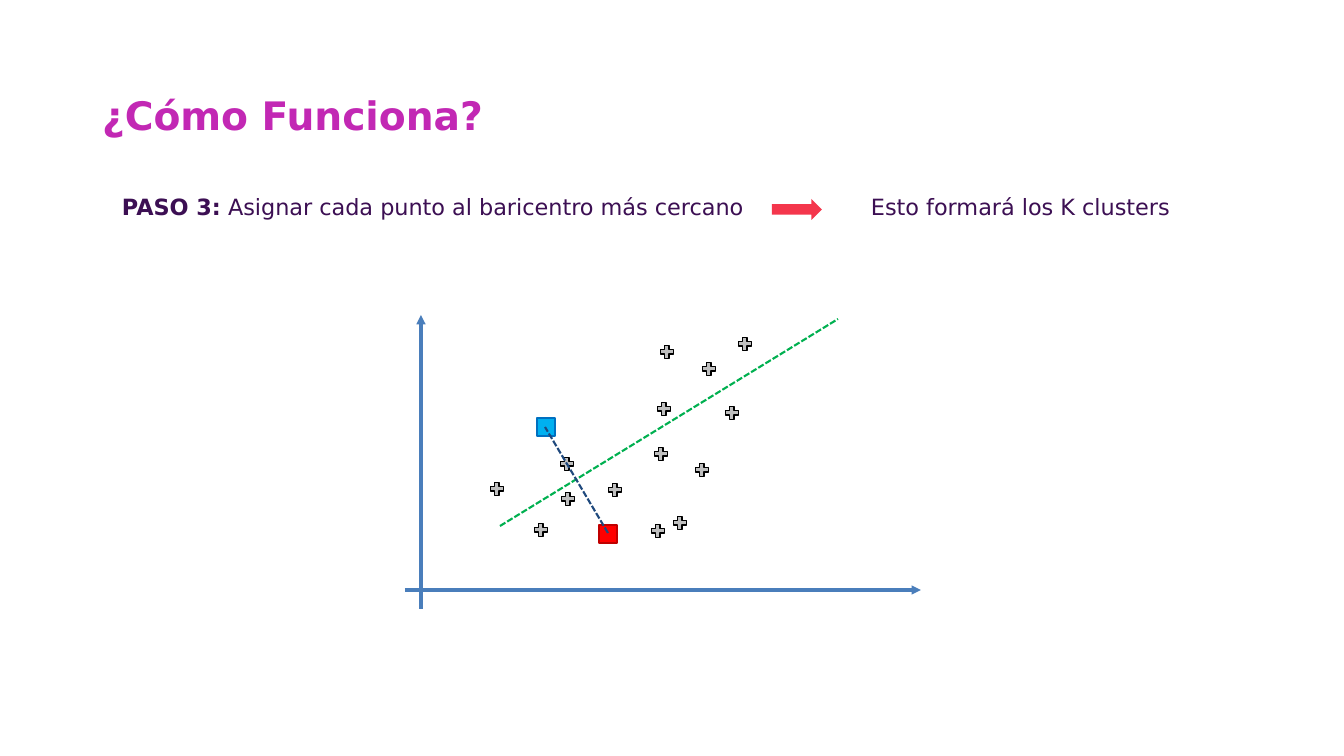
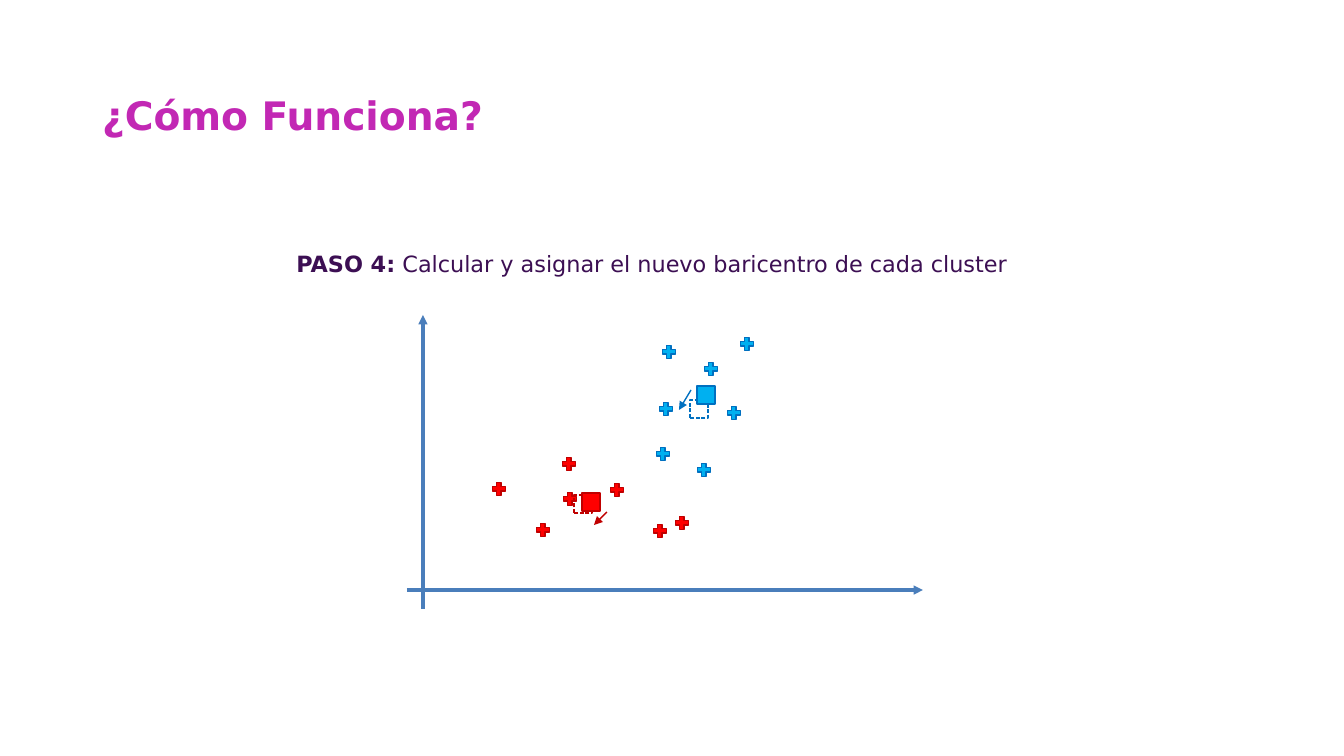
from lxml import etree
from pptx import Presentation
from pptx.dml.color import RGBColor
from pptx.enum.dml import MSO_LINE
from pptx.enum.shapes import MSO_CONNECTOR, MSO_SHAPE
from pptx.enum.text import MSO_ANCHOR, MSO_AUTO_SIZE, PP_ALIGN
from pptx.oxml.ns import qn
from pptx.util import Pt

PX = 914400 / 100.8
FONT = "DejaVu Sans"
DASH = MSO_LINE.SQUARE_DOT
CROSS, DIAMOND = MSO_SHAPE.CROSS, MSO_SHAPE.DIAMOND
ARROW = MSO_SHAPE.RIGHT_ARROW
STRAIGHT = MSO_CONNECTOR.STRAIGHT
LEFT, CENTER = PP_ALIGN.LEFT, PP_ALIGN.CENTER
TITLE, INK, AXIS = "C228B4", "3C0F53", "4A7EBB"
GRAY = ("BFBFBF", "000000")  # fill, edge
RED = ("FF0000", "C00000")
BLUE = ("00B0F0", "0070C0")
rgb = RGBColor.from_string


def px(*nums):
    return [round(n * PX) for n in nums]


def style(item, edge, width=1, dash=None, head=False):
    """Set the outline of a shape or connector."""
    item.line.color.rgb = rgb(edge)
    item.line.width = Pt(width)
    if dash is not None:
        item.line.dash_style = dash
    if head:
        ln = item.element.spPr.find(qn("a:ln"))
        etree.SubElement(ln, qn("a:tailEnd"), type="triangle")


# Data points: the same clusters appear on both slides
blues = [(732, 413), (664, 409), (709, 369), (661, 454),
         (745, 344), (702, 470), (667, 352)]
reds = [(497, 489), (541, 530), (567, 464), (680, 523),
        (568, 499), (615, 490), (658, 531)]

# Each text: left, top, width, alignment, runs as (text, bold)
# Each mark: centre, colours, filled
# Each line: from, to, colour, width, dash, arrowhead
pages = [
    dict(shift=0, tints=(GRAY, GRAY),
         texts=[(117, 188, 650, LEFT,
                 [("PASO 3:", True),
                  (" Asignar cada punto al baricentro más cercano", False)]),
                (866, 188, 320, LEFT,
                 [("Esto formará los K clusters", False)])],
         marks=[(608, 534, RED, True), (546, 427, BLUE, True)],
         lines=[((500, 526), (838, 319), "00B050", 1.5, DASH, False),
                ((608, 533), (545, 427), "1F497D", 1.5, DASH, False)]),
    dict(shift=2, tints=(BLUE, RED),
         texts=[(148, 245, 1008, CENTER,
                 [("PASO 4:", True),
                  (" Calcular y asignar el nuevo baricentro de cada cluster",
                   False)])],
         marks=[(583, 504, RED, False), (699, 409, BLUE, False),
                (591, 502, RED, True), (706, 395, BLUE, True)],
         lines=[((691, 390), (679, 410), BLUE[1], 1, None, True),
                ((607, 512), (594, 525), RED[1], 1, None, True)]),
]

deck = Presentation()
deck.slide_width, deck.slide_height = px(1344, 756)

for page in pages:
    slide = deck.slides.add_slide(deck.slide_layouts[5])
    shapes = slide.shapes
    shift = page["shift"]

    # Title
    title = shapes.title
    title.left, title.top, title.width, title.height = px(92, 72, 1159, 92)
    frame = title.text_frame
    frame.auto_size = MSO_AUTO_SIZE.NONE
    frame.vertical_anchor = MSO_ANCHOR.MIDDLE
    para = frame.paragraphs[0]
    para.alignment, para.line_spacing = LEFT, 0.9
    run = para.add_run()
    run.text = "¿Cómo Funciona?"
    run.font.name, run.font.size, run.font.bold = FONT, Pt(28), True
    run.font.color.rgb = rgb(TITLE)

    # Step text
    for left, top, width, align, runs in page["texts"]:
        frame = shapes.add_textbox(*px(left, top, width, 37)).text_frame
        frame.word_wrap = True
        frame.margin_left, frame.margin_top = px(5, 5)
        frame.margin_right, frame.margin_bottom = px(5, 5)
        para = frame.paragraphs[0]
        para.alignment = align
        for text, bold in runs:
            run = para.add_run()
            run.text = text
            run.font.name, run.font.size, run.font.bold = FONT, Pt(16), bold
            run.font.color.rgb = rgb(INK)

    # Crosses
    for points, (fill, edge) in zip((blues, reds), page["tints"]):
        for x, y in points:
            cross = shapes.add_shape(
                CROSS, *px(x + shift - 6.5, y - 6.5, 13, 13))
            cross.adjustments[0] = 0.33
            cross.shadow.inherit = False
            cross.fill.solid()
            cross.fill.fore_color.rgb = rgb(fill)
            style(cross, edge)

    # Centroids: dashed where only proposed
    for x, y, (fill, edge), full in page["marks"]:
        mark = shapes.add_shape(DIAMOND, *px(x - 12.5, y - 12.5, 25, 25))
        mark.rotation = 315
        mark.shadow.inherit = False
        if full:
            mark.fill.solid()
            mark.fill.fore_color.rgb = rgb(fill)
        else:
            mark.fill.background()
        style(mark, edge, dash=None if full else DASH)

    # Axes and other lines
    axes = [((421 + shift, 609), (421 + shift, 315), AXIS, 2.25, None, True),
            ((405 + shift, 590), (921 + shift, 590), AXIS, 2.25, None, True)]
    for start, end, color, width, dash, head in axes + page["lines"]:
        line = shapes.add_connector(STRAIGHT, *px(*start, *end))
        style(line, color, width, dash, head)
        etree.SubElement(line.element.spPr, qn("a:effectLst"))

# Arrow between the two texts of step 3
arrow = deck.slides[0].shapes.add_shape(ARROW, *px(772, 199, 50, 21))
arrow.shadow.inherit = False
arrow.fill.solid()
arrow.fill.fore_color.rgb = rgb("F4364C")
arrow.line.fill.background()

deck.save("out.pptx")
